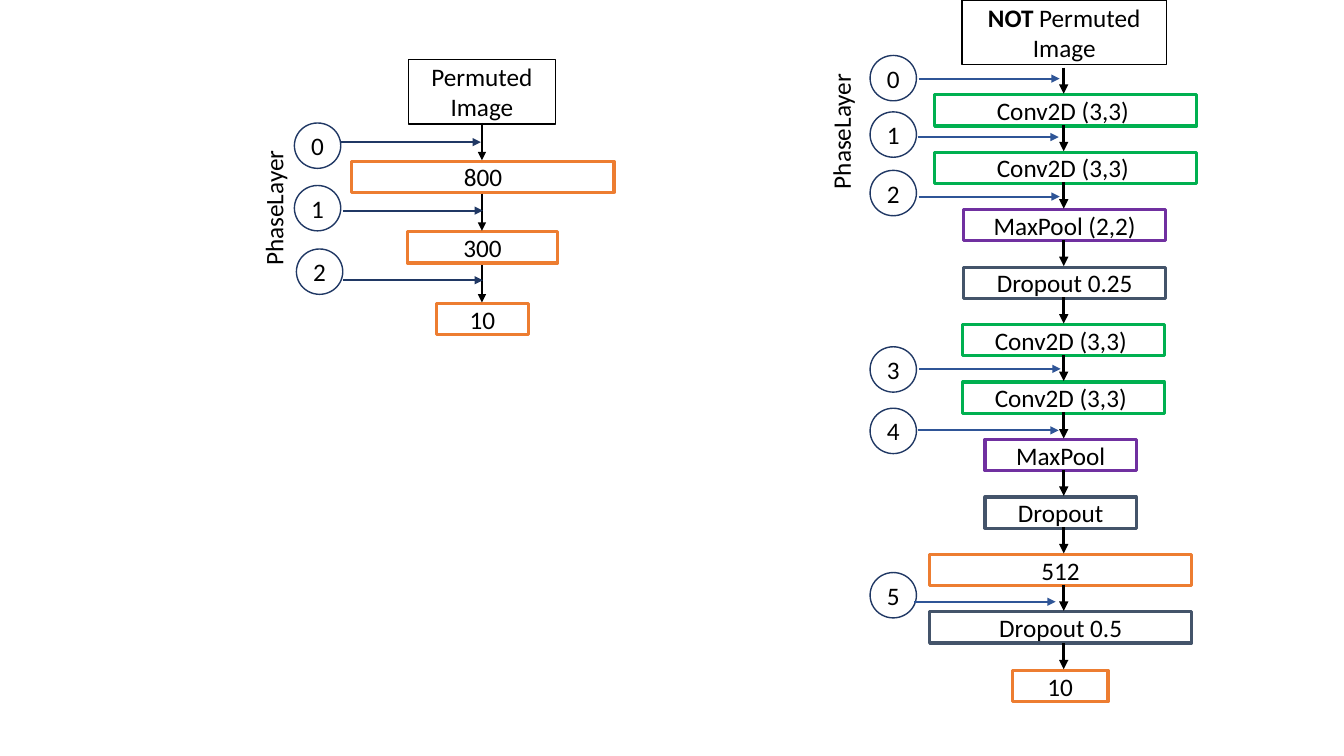
from lxml import etree
from pptx import Presentation
from pptx.dml.color import RGBColor
from pptx.enum.shapes import MSO_CONNECTOR, MSO_SHAPE
from pptx.enum.text import MSO_ANCHOR, PP_ALIGN
from pptx.oxml.ns import qn
from pptx.util import Pt

RECT, OVAL, STRAIGHT = MSO_SHAPE.RECTANGLE, MSO_SHAPE.OVAL, MSO_CONNECTOR.STRAIGHT
CENTER, MIDDLE = PP_ALIGN.CENTER, MSO_ANCHOR.MIDDLE
PX = 9144  # EMU per px, 100 px to the inch

BLACK, NAVY, BLUE = "000000", "203864", "2F5597"
CONV, POOL, DROP, DENSE = "00B050", "7030A0", "44546A", "ED7D31"
LAYER_H, HEADER_H = 31, 64
CIRCLE_W, CIRCLE_H = 46, 45
LABEL_W, LABEL_H = 142, 41
AXIS_FROM_RIGHT = 131


def px(*lengths):
    return [n * PX for n in lengths]


def rgb(color):
    return RGBColor.from_string(color)


def write(sp, runs):
    tf = sp.text_frame
    tf.word_wrap = True
    tf.vertical_anchor = MIDDLE
    p = tf.paragraphs[0]
    p.alignment = CENTER
    p.font.name, p.font.size = "Calibri", Pt(18)
    p.font.color.rgb = rgb(BLACK)
    for text, bold in runs:
        r = p.add_run()
        r.text = text
        if bold:
            r.font.bold = True


def outlined(shapes, kind, box, color, weight, *runs):
    sp = shapes.add_shape(kind, *px(*box))
    sp.shadow.inherit = False
    sp.fill.background()
    sp.line.color.rgb = rgb(color)
    sp.line.width = Pt(weight)
    write(sp, runs)


def arrow(shapes, start, end, color, weight):
    line = shapes.add_connector(STRAIGHT, *px(*start, *end))
    line.line.color.rgb = rgb(color)
    line.line.width = Pt(weight)
    etree.SubElement(line.line._get_or_add_ln(), qn("a:tailEnd"), type="triangle")
    etree.SubElement(line._element.spPr, qn("a:effectLst"))


def network(slide, box, header, header_w, layers, first, phases, label_y,
            flow_weight, flow_len, phase_color, phase_len):
    """Draw one network; layers are spread evenly from first to the box's foot."""
    x, y, w, h = box
    axis = x + w - AXIS_FROM_RIGHT
    shapes = slide.shapes.add_group_shape().shapes

    # Input image
    outlined(shapes, RECT, (axis - header_w // 2, y, header_w, HEADER_H), BLACK, 1, *header)

    # Layers, each with the arrow leading into it
    span = h - LAYER_H - first
    for i, (text, width, shift, color) in enumerate(layers):
        top = y + first + span * i // (len(layers) - 1)
        left = axis + shift - width // 2
        outlined(shapes, RECT, (left, top, width, LAYER_H), color, 2.25, (text, False))
        arrow(shapes, (axis, top - 1 - flow_len), (axis, top - 1), BLACK, flow_weight)

    # Phase numbers pointing at the flow
    for i, (circle_x, circle_y, arrow_x, arrow_y) in enumerate(phases):
        circle = (x + circle_x, y + circle_y, CIRCLE_W, CIRCLE_H)
        outlined(shapes, OVAL, circle, NAVY, 1, (str(i), False))
        start = x + arrow_x
        arrow(shapes, (start, y + arrow_y), (start + phase_len, y + arrow_y), phase_color, 1.5)

    # Rotated side label
    label = shapes.add_textbox(*px(x - 50, y + label_y, LABEL_W, LABEL_H))
    label.rotation = 270
    write(label, [("PhaseLayer", False)])


def main():
    prs = Presentation()
    prs.slide_width, prs.slide_height = px(1333, 750)
    slide = prs.slides.add_slide(prs.slide_layouts[6])

    # Convolutional network
    network(
        slide, (813, 0, 373, 696),
        header=[("NOT", True), (" Permuted Image", False)], header_w=203,
        layers=[
            ("Conv2D (3,3) ", 260, 2, CONV),
            ("Conv2D (3,3) ", 260, 2, CONV),
            ("MaxPool (2,2)", 200, 1, POOL),
            ("Dropout 0.25", 200, 1, DROP),
            ("Conv2D (3,3) ", 200, 0, CONV),
            ("Conv2D (3,3) ", 200, 0, CONV),
            ("MaxPool", 150, -3, POOL),
            ("Dropout", 150, -3, DROP),
            ("512", 260, -3, DENSE),
            ("Dropout 0.5", 260, -3, DROP),
            ("10", 95, -4, DENSE),
        ],
        first=94,
        phases=[(50, 55, 98, 78), (50, 111, 97, 136), (50, 169, 98, 195),
                (50, 344, 99, 366), (50, 405, 97, 427), (50, 568, 94, 597)],
        label_y=110, flow_weight=2.25, flow_len=26, phase_color=BLUE, phase_len=140)

    # Dense network
    network(
        slide, (250, 59, 359, 273),
        header=[("Permuted Image", False)], header_w=146,
        layers=[("800", 260, 1, DENSE), ("300", 149, 0, DENSE), ("10", 91, 0, DENSE)],
        first=101,
        phases=[(42, 63, 88, 82), (42, 125, 90, 150), (44, 188, 90, 219)],
        label_y=127, flow_weight=1.5, flow_len=37, phase_color=NAVY, phase_len=139)

    prs.save("out.pptx")


if __name__ == "__main__":
    main()
